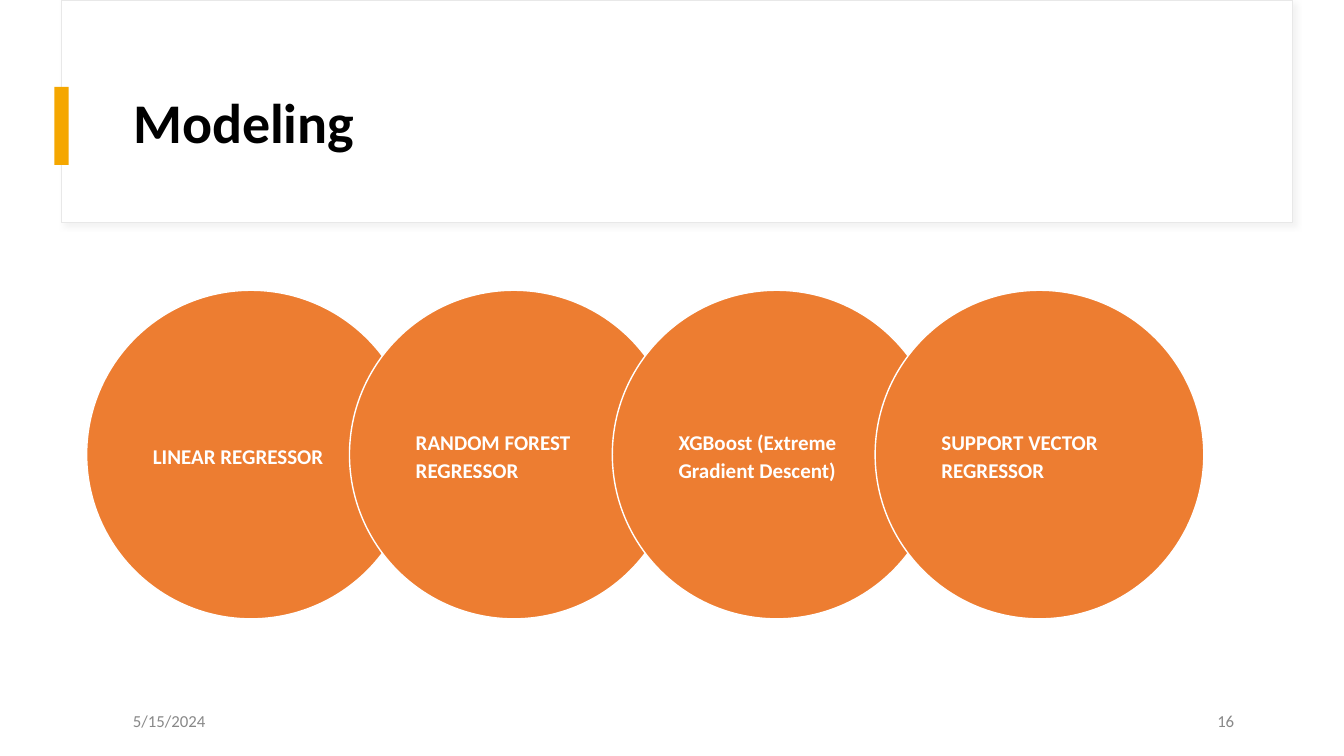
from dataclasses import dataclass

from lxml.etree import SubElement
from pptx import Presentation
from pptx.dml.color import RGBColor
from pptx.enum.shapes import MSO_SHAPE
from pptx.enum.text import MSO_ANCHOR, PP_ALIGN
from pptx.oxml.ns import qn
from pptx.util import Inches, Pt


@dataclass(frozen=True)
class Theme:
    font: str = "Calibri"
    white: str = "FFFFFF"
    ink: str = "000000"
    muted: str = "888888"
    accent: str = "F5A700"
    circle: str = "ED7D31"
    edge: str = "E8E8E8"
    shadow: str = "D8D8D8"
    title_size: int = 40
    label_size: int = 15
    footer_size: int = 12


THEME = Theme()
SLIDE_W, SLIDE_H = 13.33, 7.5
MODELS = [
    "LINEAR REGRESSOR",
    "RANDOM FOREST REGRESSOR",
    "XGBoost (Extreme Gradient Descent)",
    "SUPPORT VECTOR REGRESSOR",
]


def add_block(slide, kind, box, fill, line=None, line_width=1):
    sp = slide.shapes.add_shape(kind, *map(Inches, box))
    sp.shadow.inherit = False
    sp.fill.solid()
    sp.fill.fore_color.rgb = RGBColor.from_string(fill)
    if line:
        sp.line.color.rgb = RGBColor.from_string(line)
        sp.line.width = Pt(line_width)
    else:
        sp.line.fill.background()
    return sp


def set_text(sp, text, size, color, bold=False, align=PP_ALIGN.LEFT,
             spacing=1.0, inset=(0.1, 0.05)):
    tf = sp.text_frame
    tf.text = text
    tf.word_wrap = True
    tf.vertical_anchor = MSO_ANCHOR.MIDDLE
    tf.margin_left = tf.margin_right = Inches(inset[0])
    tf.margin_top = tf.margin_bottom = Inches(inset[1])
    p = tf.paragraphs[0]
    p.alignment = align
    p.line_spacing = spacing
    font = p.runs[0].font
    font.name, font.size, font.bold = THEME.font, Pt(size), bold
    font.color.rgb = RGBColor.from_string(color)


def add_soft_shadow(sp):
    effects = sp._element.spPr.find(qn("a:effectLst"))
    shadow = SubElement(effects, qn("a:outerShdw"), blurRad=str(Pt(4)),
                        dist=str(Pt(3)), dir=str(45 * 60000), algn="tl", rotWithShape="0")
    color = SubElement(shadow, qn("a:srgbClr"), val=THEME.shadow)
    SubElement(color, qn("a:alpha"), val="30000")


def build_header(slide, box, title):
    left, top, width, height = box
    # Card hanging from the top edge
    card = add_block(slide, MSO_SHAPE.RECTANGLE, box, THEME.white, THEME.edge, 0.75)
    add_soft_shadow(card)
    # Accent bar centred on the card's left edge
    bar_w = 0.14
    add_block(slide, MSO_SHAPE.RECTANGLE,
              (left - bar_w / 2, top + 0.39 * height, bar_w, 0.35 * height), THEME.accent)
    # Title, raised above the card
    sp = slide.shapes.title
    sp.left, sp.top = Inches(left + 0.05 * width), Inches(top + 0.27 * height)
    sp.width, sp.height = Inches(0.91 * width), Inches(0.585 * height)
    set_text(sp, title, THEME.title_size, THEME.ink, bold=True, spacing=0.9)
    slide.shapes._spTree.append(sp._element)


def build_circles(slide, box, labels):
    left, top, width, diameter = box
    # Equal steps, each circle overlapping the one before
    step = (width - diameter) / (len(labels) - 1)
    for i, label in enumerate(labels):
        sp = add_block(slide, MSO_SHAPE.OVAL, (left + i * step, top, diameter, diameter),
                       THEME.circle, THEME.white)
        set_text(sp, label, THEME.label_size, THEME.white, bold=True,
                 spacing=1.1, inset=(0.18, 0.02))


def build_footer(slide, box, date, number):
    left, top, width, height = box
    field_w = 3
    fields = [(left, date, PP_ALIGN.LEFT),
              (left + width - field_w, number, PP_ALIGN.RIGHT)]
    for x, text, align in fields:
        sp = slide.shapes.add_textbox(*map(Inches, (x, top, field_w, height)))
        set_text(sp, text, THEME.footer_size, THEME.muted, align=align)


def main():
    prs = Presentation()
    prs.slide_width, prs.slide_height = Inches(SLIDE_W), Inches(SLIDE_H)
    slide = prs.slides.add_slide(prs.slide_layouts[5])
    build_header(slide, (0.61, 0, 12.21, 2.21), "Modeling")
    build_footer(slide, (1.22, 6.95, 11.12, 0.4), "5/15/2024", "16")
    build_circles(slide, (0.86, 2.88, 11.08, 3.26), MODELS)
    prs.save("out.pptx")


if __name__ == "__main__":
    main()
